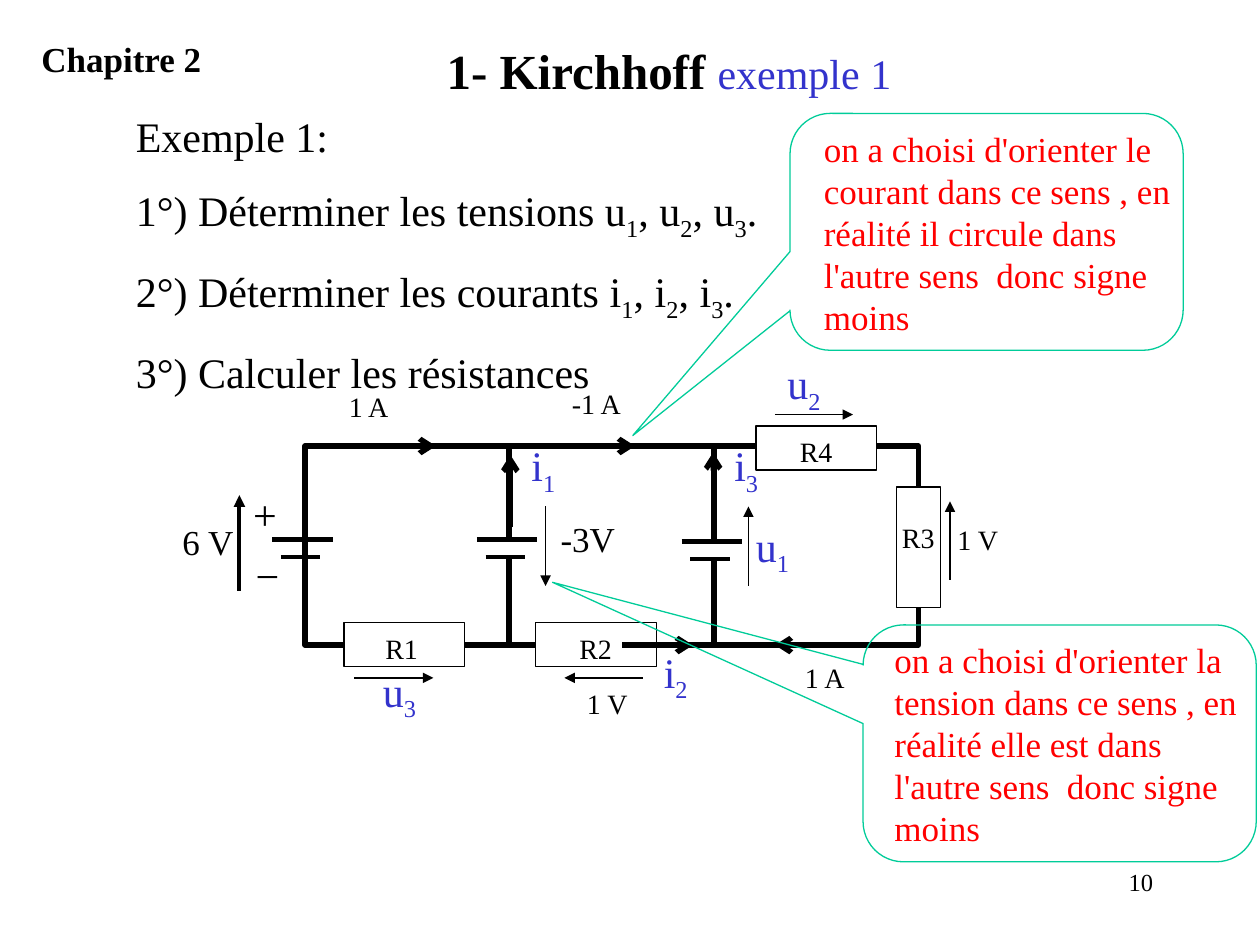
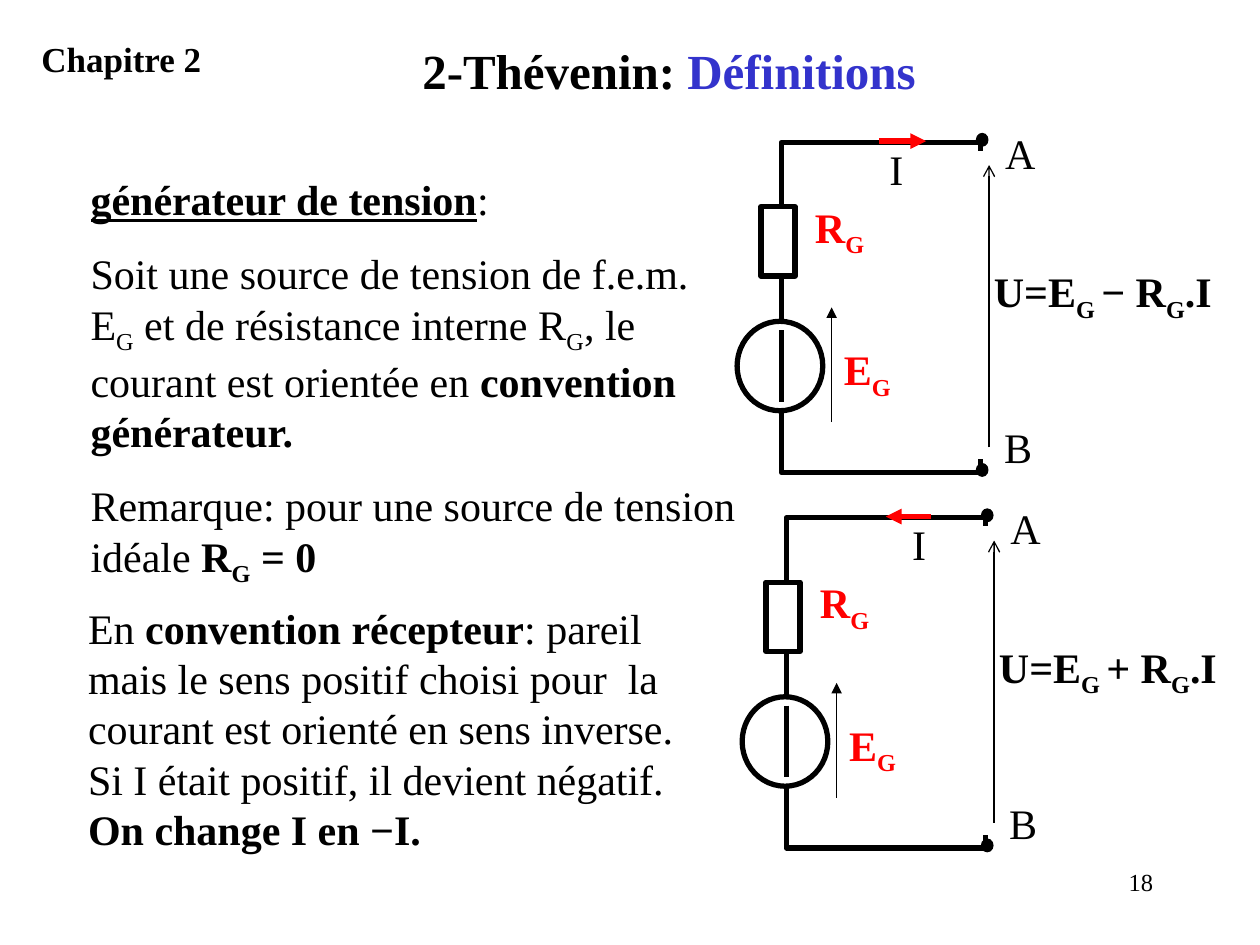
import pptx
import pptx.dml.color
import pptx.enum.shapes
import pptx.enum.text
import pptx.oxml
import pptx.oxml.ns
import pptx.util

Inches = pptx.util.Inches
Pt = pptx.util.Pt
forms = pptx.enum.shapes.MSO_SHAPE
aligns = pptx.enum.text.PP_ALIGN
inks = {"black": "000000", "white": "FFFFFF", "blue": "3333CC", "red": "FF0000", "green": "00CC99"}
looks = {
    "title": ("black", {"size": Pt(28), "bold": True}),
    "topic": ("blue", {"size": Pt(28), "bold": True}),
    "chapter": ("black", {"size": Pt(20), "bold": True}),
    "number": ("black", {"size": Pt(14)}),
    "body": ("black", {"size": Pt(24), "bold": False}),
    "strong": ("black", {"size": Pt(24), "bold": True}),
    "head": ("black", {"size": Pt(24), "bold": True, "underline": True}),
    "symbol": ("blue", {"size": Pt(24)}),
    "source": ("red", {"size": Pt(24), "bold": True}),
    "volt": ("black", {"size": Pt(20)}),
    "note": ("black", {"size": Pt(16)}),
    "remark": ("red", {"size": Pt(20)}),
}


def write(slide, box, paras, align=aligns.LEFT):
    frame = slide.shapes.add_textbox(*map(Inches, box)).text_frame
    frame.word_wrap = True
    for row, runs in enumerate(paras):
        para = frame.paragraphs[0] if row == 0 else frame.add_paragraph()
        para.alignment = align
        para.space_before = Pt(13.5 if row else 0)
        for text, look in runs:
            ink, form = looks[look]
            for turn, part in enumerate(text.split("~")):
                if not part:
                    continue
                run = para.add_run()
                run.text = part
                run.font.name = "Times New Roman"
                run.font.color.rgb = pptx.dml.color.RGBColor.from_string(inks[ink])
                for key, value in form.items():
                    setattr(run.font, key, value)
                if turn % 2:
                    run.font._element.set("baseline", "-25000")


def draw(slide, form, box, width=3, ink="black", fill=None, tip=None):
    spots = list(map(Inches, box))
    if form == "line":
        item = slide.shapes.add_connector(pptx.enum.shapes.MSO_CONNECTOR.STRAIGHT, *spots)
    else:
        item = slide.shapes.add_shape(form, *spots)
        item.shadow.inherit = False
        item.fill.background()
        if fill:
            item.fill.solid()
            item.fill.fore_color.rgb = pptx.dml.color.RGBColor.from_string(inks[fill])
    if width:
        item.line.color.rgb = pptx.dml.color.RGBColor.from_string(inks[ink])
        item.line.width = Pt(width)
    else:
        item.line.fill.background()
    if form == "line":
        space = pptx.oxml.ns.nsdecls("a")
        if tip:
            item.line._get_or_add_ln().append(pptx.oxml.parse_xml(f'<a:tailEnd {space} type="{tip}"/>'))
        item._element.spPr.append(pptx.oxml.parse_xml(f"<a:effectLst {space}/>"))
    return item


deck = pptx.Presentation()
deck.slide_width = Inches(10)
deck.slide_height = Inches(7.5)

pages = []
for number, title in [
    ("10", [("1- Kirchhoff ", "title"), ("exemple 1", "symbol")]),
    ("18", [("2-Thévenin: ", "title"), ("Définitions", "topic")]),
]:
    page = deck.slides.add_slide(deck.slide_layouts[6])
    write(page, (7.17, 6.83, 2.08, 0.5), [[(number, "number")]], aligns.RIGHT)
    write(page, (0.89, 0.27, 8.84, 0.57), [title], aligns.CENTER)
    write(page, (0.23, 0.25, 2.84, 0.43), [[("Chapitre 2", "chapter")]])
    pages.append(page)
first, second = pages

write(first, (0.98, 0.83, 8.06, 2.3), [
    [("Exemple 1:", "body")],
    [("1°) Déterminer les tensions u~1~, u~2~, u~3~.", "body")],
    [("2°) Déterminer les courants i~1~, i~2~, i~3~.", "body")],
    [("3°) Calculer les résistances", "body")],
])

for mesh in range(3):
    draw(first, forms.RECTANGLE, (2.42 + 1.625 * mesh, 3.54, 1.62, 1.58))

for box in [
    (2.73, 4.94, 0.96, 0.35),
    (4.25, 4.94, 0.96, 0.35),
    (6, 3.38, 0.96, 0.35),
    (7.115, 3.865, 0.35, 0.96),
]:
    draw(first, forms.RECTANGLE, box, 0.75, fill="white")

for cell, top in enumerate([4.28, 4.28, 4.3]):
    left = 2.16 + 1.625 * cell
    if cell:
        draw(first, forms.RECTANGLE, (left + 0.03, top - 0.01, 0.46, 0.15), 0, fill="white")
    draw(first, "line", (left, top, left + 0.48, top))
    draw(first, "line", (left + 0.07, top + 0.14, left + 0.38, top + 0.14), 2.25)

for ends in [
    (5.66, 4.16, 5.66, 3.59),
    (4.05, 4.18, 4.05, 3.61),
    (4.94, 5.12, 5.5, 5.12),
    (2.9, 3.54, 3.46, 3.54),
    (4.48, 3.54, 5.04, 3.54),
    (6.71, 5.12, 6.15, 5.12),
]:
    draw(first, "line", ends, tip="arrow")

draw(first, "line", (1.9, 4.69, 1.9, 3.93), 2.25, tip="triangle")
for ends in [
    (2.81, 5.38, 3.44, 5.38),
    (5.1, 5.38, 4.48, 5.38),
    (6.15, 3.29, 6.77, 3.29),
    (7.54, 4.6, 7.54, 3.98),
    (5.94, 4.65, 5.94, 4.02),
    (4.33, 4.02, 4.33, 4.65),
]:
    draw(first, "line", ends, 0.75, tip="triangle")

for left, top, width, text, look in [
    (7.5, 4.1, 0.88, "1 V", "note"),
    (4.56, 5.4, 0.88, "1 V", "note"),
    (2.67, 3.04, 0.88, "1 A", "note"),
    (4.44, 3.02, 0.88, "-1 A", "note"),
    (6.29, 5.19, 0.88, "1 A", "note"),
    (2.96, 4.96, 0.79, "R1", "note"),
    (4.5, 4.96, 0.79, "R2", "note"),
    (7.06, 4.08, 0.79, "R3", "note"),
    (6.25, 3.4, 0.79, "R4", "note"),
    (1.35, 4.08, 0.83, "6 V", "volt"),
    (4.35, 4.06, 0.88, "-3V", "volt"),
    (1.91, 3.83, 0.48, "+", "body"),
    (1.93, 4.31, 0.56, "−", "body"),
    (5.9, 4.08, 0.65, "u~1~", "symbol"),
    (6.15, 2.79, 0.65, "u~2~", "symbol"),
    (2.94, 5.23, 0.65, "u~3~", "symbol"),
    (4.12, 3.44, 0.44, "i~1~", "symbol"),
    (5.17, 5.08, 0.44, "i~2~", "symbol"),
    (5.73, 3.44, 0.44, "i~3~", "symbol"),
]:
    height = {"note": 0.37, "volt": 0.43}.get(look, 0.5)
    write(first, (left, top, width, height), [[(text, look)]])

for left, top, inset, point, what, fact in [
    (6.27, 0.9, 0.17, (-0.9, 0.86, 0.17), "le courant", "il circule"),
    (6.85, 4.96, 0.15, (-1.29, -0.68, 0.17), "la tension", "elle est"),
]:
    bubble = draw(first, forms.ROUNDED_RECTANGULAR_CALLOUT, (left, top, 3.12, 1.88), 0.75, "green")
    for spot, value in enumerate(point):
        bubble.adjustments[spot] = value
    text = f"on a choisi d'orienter {what} dans ce sens , en réalité {fact} dans l'autre sens  donc signe moins"
    write(first, (left + inset, top + 0.06, 3.04, 1.77), [[(text, "remark")]])

write(second, (0.62, 1.33, 5.35, 3.3), [
    [("générateur de tension", "head"), (":", "body")],
    [
        ("Soit une source de tension de f.e.m. E~G~ et de résistance interne R~G~, le courant est orientée en ", "body"),
        ("convention générateur.", "strong"),
    ],
    [("Remarque: pour une source de tension idéale", "body"), (" R~G~ = 0", "strong")],
])
write(second, (0.6, 4.73, 5.12, 2.1), [[
    ("En ", "body"),
    ("convention récepteur", "strong"),
    (": pareil mais le sens positif choisi pour  la courant est orienté en sens inverse. "
     "Si I était positif, il devient négatif. ", "body"),
    ("On change I en −I.", "strong"),
]])

for x, y, sign, start, end, label in [
    (0, 0, "−", 6.98, 7.35, 6.96),
    (0.04, 2.98, "+", 7.39, 7.03, 7.14),
]:
    draw(second, forms.RECTANGLE, (6.2 + x, 1.13 + y, 1.58, 2.62))
    draw(second, forms.RECTANGLE, (6.04 + x, 1.64 + y, 0.27, 0.55), fill="white")
    draw(second, "line", (6.6 + x, 3.35 + y, 6.6 + x, 2.44 + y), 0.75, tip="triangle")
    draw(second, forms.OVAL, (5.85 + x, 2.55 + y, 0.68, 0.71), fill="white")
    draw(second, "line", (6.2 + x, 2.62 + y, 6.2 + x, 3.19 + y))
    for top in (3.68, 1.06):
        draw(second, forms.OVAL, (7.75 + x, top + y, 0.09, 0.1), 0.75, fill="black")
    draw(second, "line", (start, 1.12 + y, end, 1.12 + y), ink="red", tip="triangle")
    draw(second, forms.RECTANGLE, (7.72 + x, 1.2 + y, 0.36, 2.44), 0.75, "white", "white")
    draw(second, "line", (7.85 + x, 3.55 + y, 7.85 + x, 1.31 + y), 0.75, tip="arrow")
    for left, top, width, text, look in [
        (6.6 + x, 2.68, 0.76, "E~G~", "source"),
        (6.37 + x, 1.55, 0.74, "R~G~", "source"),
        (label, 1.09, 0.47, "I", "body"),
        (7.79 + x, 2.06, 2.17, f"U=E~G ~{sign} R~G~.I", "strong"),
        (7.88 + x, 0.96, 0.44, "A", "body"),
        (7.87 + x, 3.3, 0.42, "B", "body"),
    ]:
        write(second, (left, top + y, width, 0.5), [[(text, look)]])

deck.save("out.pptx")
